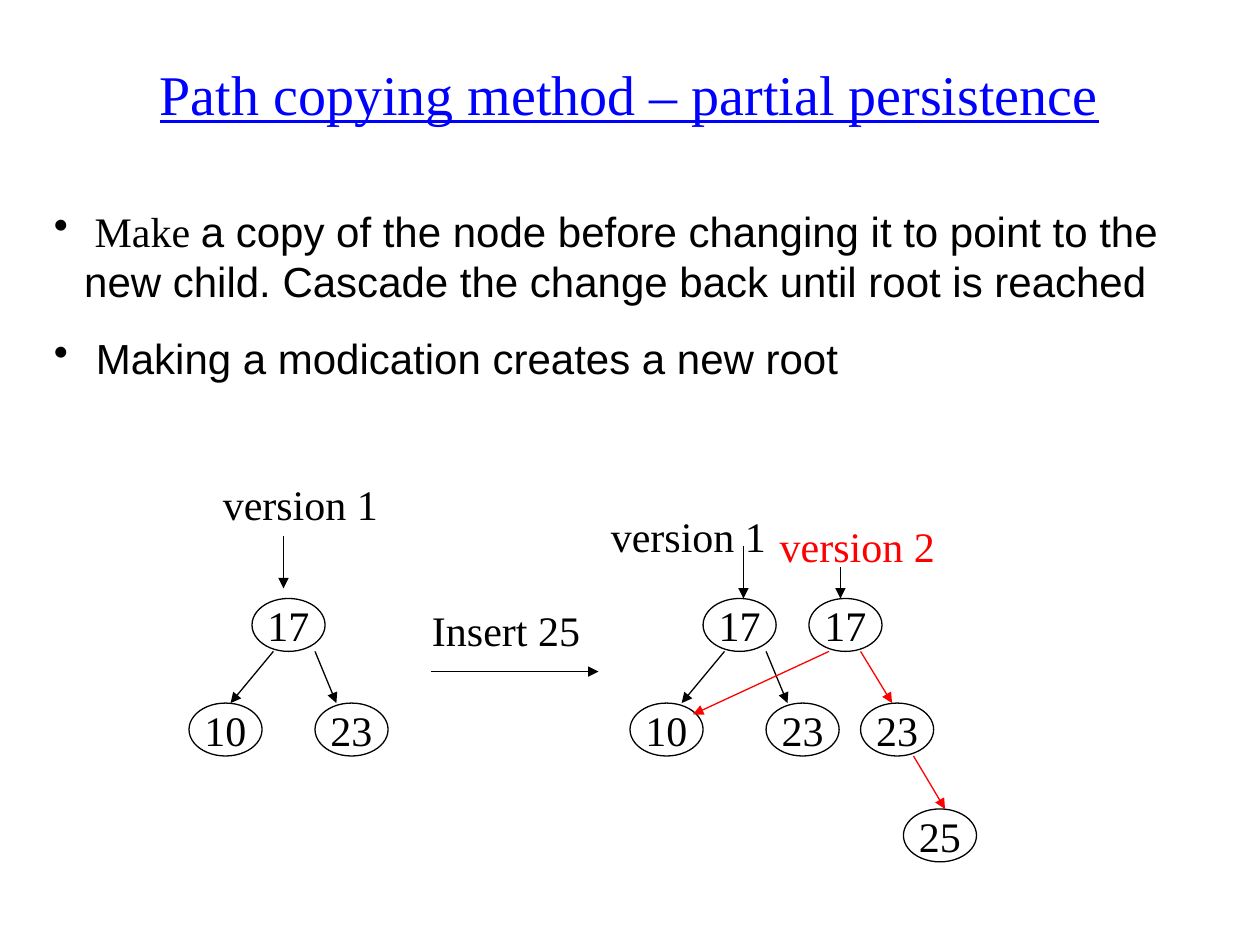
from pptx import Presentation
from pptx.dml.color import RGBColor
from pptx.enum.shapes import MSO_CONNECTOR as Conn, MSO_SHAPE as Shape
from pptx.enum.text import MSO_ANCHOR as Anchor, PP_ALIGN as Align
from pptx.oxml.ns import qn
from pptx.util import Inches, Pt
from lxml.etree import SubElement

HUES = {"ink": "000000", "paper": "FFFFFF", "title": "0000FF", "new": "FF0000"}
SERIF, SANS = "Times New Roman", "Arial"
WIDE, HIGH = 0.58, 0.42


def hue(name):
    """Return the named colour."""
    return RGBColor.from_string(HUES[name])


def write(para, text, size=24, face=SERIF, color="ink", under=None):
    """Add a formatted run to a paragraph."""
    run = para.add_run()
    run.text = text
    font = run.font
    font.size, font.name, font.underline = Pt(size), face, under
    font.color.rgb = hue(color)


def frame(slide, box, wrap=True):
    """Add a text box and return its text frame."""
    text = slide.shapes.add_textbox(*map(Inches, box)).text_frame
    text.word_wrap = wrap
    return text


def label(slide, box, text, wrap=False, align=Align.LEFT, **form):
    """Place one line of text in a box."""
    para = frame(slide, box, wrap).paragraphs[0]
    para.alignment = align
    write(para, text, **form)


def points(slide, box, items):
    """Place a bulleted list whose items are lists of text and face."""
    body = frame(slide, box)
    for i, runs in enumerate(items):
        para = body.add_paragraph() if i else body.paragraphs[0]
        props = para._p.get_or_add_pPr()
        props.set("marL", str(Inches(0.24)))
        props.set("indent", str(-Inches(0.24)))
        SubElement(props, qn("a:buChar")).set("char", "•")
        if i:
            para.space_before = Pt(15)
        for text, face in runs:
            write(para, text, face=face)


def node(slide, left, top, key):
    """Draw a tree node with its key."""
    oval = slide.shapes.add_shape(
        Shape.OVAL, *map(Inches, (left, top, WIDE, HIGH)))
    oval.shadow.inherit = False
    oval.fill.solid()
    oval.fill.fore_color.rgb = hue("paper")
    oval.line.color.rgb = hue("ink")
    oval.line.width = Pt(0.75)
    text = oval.text_frame
    text.word_wrap = False
    text.vertical_anchor = Anchor.MIDDLE
    para = text.paragraphs[0]
    para.alignment = Align.CENTER
    write(para, key)


def arrow(slide, start, end, color="ink"):
    """Draw an arrow from start to end."""
    line = slide.shapes.add_connector(
        Conn.STRAIGHT, *map(Inches, (*start, *end)))
    line.line.color.rgb = hue(color)
    line.line.width = Pt(0.75)
    SubElement(line.line._get_or_add_ln(), qn("a:tailEnd")).set("type", "triangle")
    SubElement(line._element.spPr, qn("a:effectLst"))


def tree(slide, box, right):
    """Draw a root with two children; the right child is offset by right."""
    left, top, wide, drop = box
    root, low = left + wide, top + drop
    for x, y, key in ((root, top, "17"), (left, low, "10"), (left + right, low, "23")):
        node(slide, x, y, key)
    base = top + HIGH
    arrow(slide, (root + 0.17, base), (root - 0.17, low))
    arrow(slide, (root + 0.5, base), (root + 0.67, low))


def before(slide, box):
    """Draw the tree before the insertion."""
    left, top, wide, drop = box
    tree(slide, box, 1)
    label(slide, (left + 0.17, top - 1, 1.43, 0.5), "version 1")
    arrow(slide, (left + 0.75, top - 0.5), (left + 0.75, top - 0.08))


def step(slide, box):
    """Draw the operation between the two trees."""
    left, top, wide, high = box
    label(slide, box, "Insert 25", wrap=True)
    arrow(slide, (left + 0.09, top + 0.58), (left + 1.42, top + 0.58))


def after(slide, box):
    """Draw both versions after the insertion."""
    left, top, wide, drop = box
    low, base = top + drop, top + HIGH
    for x, row, key in ((1.42, 0, "17"), (1.83, 1, "23"), (2.17, 2, "25")):
        node(slide, left + x, top + row * drop + row // 2 * 0.01, key)
    tree(slide, box, 1.08)
    arrow(slide, (left + 1.83, base), (left + 2.08, low), "new")
    arrow(slide, (left + 1.58, base), (left + 0.5, low + 0.09), "new")
    arrow(slide, (left + 2.25, low + HIGH), (left + 2.5, low + 0.84), "new")
    arrow(slide, (left + 0.9, top - HIGH), (left + 0.9, top))
    label(slide, (left - 0.25, top - 0.75, 1.43, 0.5), "version 1")
    arrow(slide, (left + 1.67, top - 0.25), (left + 1.67, top))
    label(slide, (left + 1.09, top - 0.67, 1.43, 0.5), "version 2", color="new")


def main():
    """Build and save the slide."""
    deck = Presentation()
    deck.slide_width, deck.slide_height = Inches(10), Inches(7.5)
    slide = deck.slides.add_slide(deck.slide_layouts[6])
    label(slide, (0.33, 0.42, 9.33, 0.64),
          "Path copying method – partial persistence", wrap=True,
          align=Align.CENTER, size=32, color="title", under=True)
    points(slide, (0.33, 1.58, 9.17, 1.51), [
        [(" Make ", SERIF),
         ("a copy of the node before changing it to point to the new child. "
          "Cascade the change back until root is reached", SANS)],
        [(" Making a modication creates a new root", SANS)]])
    before(slide, (1.5, 4.75, 0.5, 0.83))
    step(slide, (3.33, 4.75, 1.38, 0.5))
    after(slide, (5, 4.75, 0.58, 0.83))
    deck.save("out.pptx")


if __name__ == "__main__":
    main()
